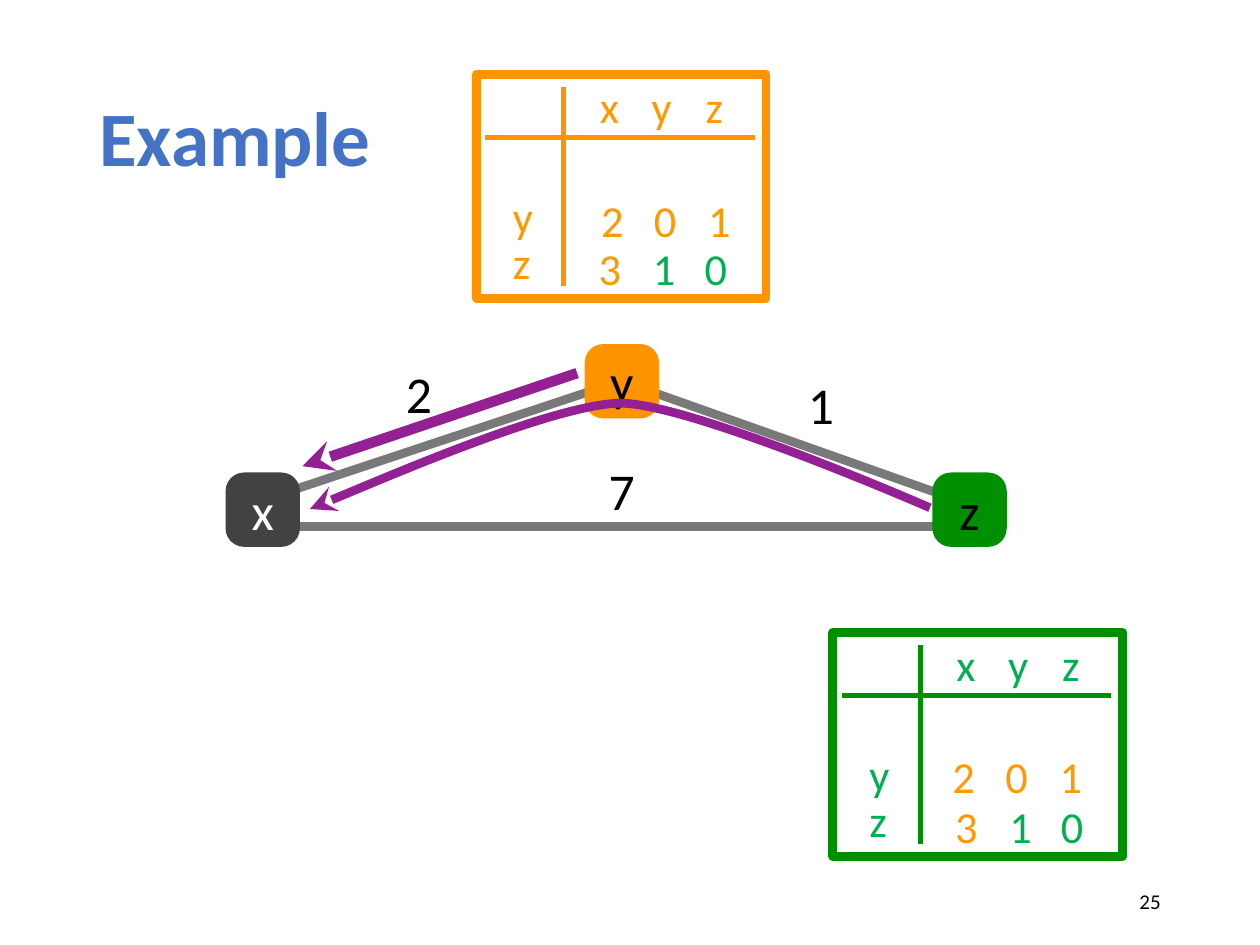
import pptx
import pptx.util
import pptx.dml.color
import pptx.enum.shapes
import pptx.enum.text
import pptx.oxml
import pptx.oxml.ns

Pt = pptx.util.Pt
RGB = pptx.dml.color.RGBColor
SHAPE = pptx.enum.shapes.MSO_SHAPE
ALIGN = pptx.enum.text.PP_ALIGN
qn = pptx.oxml.ns.qn

FONT = "Calibri"
BLACK = RGB(0x00, 0x00, 0x00)
WHITE = RGB(0xFF, 0xFF, 0xFF)
DARK = RGB(0x42, 0x42, 0x42)
GREY = RGB(0x79, 0x79, 0x79)
BLUE = RGB(0x44, 0x72, 0xC4)
PURPLE = RGB(0x94, 0x21, 0x93)
ORANGE = RGB(0xFF, 0x93, 0x00)
AMBER = RGB(0xFF, 0x99, 0x00)
GREEN = RGB(0x00, 0x8F, 0x00)
LEAF = RGB(0x00, 0xB0, 0x50)

PAD = 2.9
NODE = 42.5


def write(shape, text, size, color, align=ALIGN.LEFT, bold=False, pad=None):
    frame = shape.text_frame
    frame.word_wrap = True
    frame.vertical_anchor = pptx.enum.text.MSO_ANCHOR.MIDDLE
    if pad is not None:
        frame.margin_left = frame.margin_right = Pt(pad)
        frame.margin_top = frame.margin_bottom = Pt(pad)
    para = frame.paragraphs[0]
    para.alignment = align
    run = para.add_run()
    run.text = text
    font = run.font
    font.name, font.size, font.bold = FONT, Pt(size), bold
    font.color.rgb = color
    return para


def label(shapes, x, y, w, h, text, size, color, **style):
    box = shapes.add_textbox(Pt(x), Pt(y), Pt(w), Pt(h))
    return write(box, text, size, color, **style)


def stroke(shape, color, width, end=None):
    """Style a line; end is headEnd or tailEnd for an arrowhead."""
    shape.line.color.rgb = color
    shape.line.width = Pt(width)
    if end:
        tip = pptx.oxml.parse_xml(
            f'<a:{end} {pptx.oxml.ns.nsdecls("a")} type="stealth"/>')
        shape.line._get_or_add_ln().append(tip)


def link(shapes, x, y, start, stop, color, width, end=None):
    """Draw a straight line between two offsets from x, y."""
    line = shapes.add_connector(
        pptx.enum.shapes.MSO_CONNECTOR.STRAIGHT,
        Pt(x + start[0]), Pt(y + start[1]), Pt(x + stop[0]), Pt(y + stop[1]))
    stroke(line, color, width, end)
    line._element.spPr.append(pptx.oxml.parse_xml(
        f'<a:effectLst {pptx.oxml.ns.nsdecls("a")}/>'))


def curve(shapes, x, y, points, color, width):
    """Draw cubic curves through points, three points to a curve."""
    spots = [(Pt(x + dx), Pt(y + dy)) for dx, dy in points]
    maker = shapes.build_freeform(*spots[0], scale=1.0)
    maker.add_line_segments(spots[1:], close=False)
    shape = maker.convert_to_shape()
    shape.shadow.inherit = False
    shape.fill.background()
    stroke(shape, color, width, "tailEnd")
    legs = list(shape._element.iter(qn("a:lnTo")))
    for i in range(0, len(legs), 3):
        first, *rest = legs[i:i + 3]
        first.tag = qn("a:cubicBezTo")
        for leg in rest:
            first.append(leg[0])
            leg.getparent().remove(leg)


def network(shapes, x, y):
    edges = [((213.8, 25.2), (31.7, 85.7)),
             ((36.7, 104.4), (420.5, 104.4)),
             ((237.6, 25.2), (420.5, 90))]
    for start, stop in edges:
        link(shapes, x, y, start, stop, GREY, 5)

    nodes = [("x", 0, 73.4, DARK, WHITE),
             ("z", 403.9, 73.4, GREEN, BLACK),
             ("y", 205.2, 0, ORANGE, BLACK)]
    for name, dx, dy, fill, ink in nodes:
        node = shapes.add_shape(SHAPE.ROUNDED_RECTANGLE, Pt(x + dx),
                                Pt(y + dy), Pt(NODE), Pt(NODE))
        node.adjustments[0] = 0.25
        node.shadow.inherit = False
        node.fill.solid()
        node.fill.fore_color.rgb = fill
        node.line.fill.background()
        write(node, name, 29.5, ink, align=ALIGN.CENTER, pad=0)

    for cost, dx, dy in [("7", 216, 62.6), ("2", 100.1, 7.2), ("1", 329.8, 13)]:
        label(shapes, x + dx, y + dy, 20.9, 41.8, cost, 29.5, BLACK, pad=PAD)

    link(shapes, x, y, (43.9, 69.8), (200.9, 16.6), PURPLE, 6, "headEnd")
    curve(shapes, x, y,
          [(402.5, 93.6), (402.5, 93.6), (265.7, 33.8), (225.4, 33.8),
           (187.9, 34.6), (48.2, 94.3), (48.2, 94.3)], PURPLE, 5)


def costs(slide, x, y, edge, ink, fill=None, shift=(0, 0)):
    """Draw a distance table; shift moves the digits of row y."""
    shapes = slide.shapes.add_group_shape().shapes
    frame = shapes.add_shape(SHAPE.RECTANGLE, Pt(x), Pt(y), Pt(165.6), Pt(128))
    frame.shadow.inherit = False
    if fill is None:
        frame.fill.background()
    else:
        frame.fill.solid()
        frame.fill.fore_color.rgb = fill
    stroke(frame, edge, 5)
    link(shapes, x, y, (5, 36), (159, 36), edge, 3)
    link(shapes, x, y, (50, 121), (50, 7.2), edge, 3)

    def cell(dx, dy, w, h, text, color):
        label(shapes, x + dx, y + dy, w, h, text, 25.3, color, pad=PAD)

    for name, dx in zip("xyz", (67.7, 97.2, 128.2)):
        cell(dx, 1.5, 21, 33, name, ink)
    for name, dy in (("y", 62.5), ("z", 88.6)):
        cell(18, dy, 18.7, 36.7, name, ink)
    for digit, dx in zip("201", (68.4, 98.6, 129.6)):
        cell(dx + shift[0], 64.8 + shift[1], 13.7, 36.7, digit, AMBER)
    for digit, dx, color in zip("310", (67, 98, 127.5), (AMBER, LEAF, LEAF)):
        cell(dx, 92, 14, 36.7, digit, color)


def main():
    deck = pptx.Presentation()
    deck.slide_width, deck.slide_height = Pt(720), Pt(540)
    slide = deck.slides.add_slide(deck.slide_layouts[6])
    shapes = slide.shapes
    title = label(shapes, 49.7, 28.8, 620.6, 104.4, "Example", 44, BLUE,
                  bold=True)
    title.line_spacing = 0.9
    costs(slide, 272.2, 42.5, ORANGE, AMBER, fill=WHITE)
    costs(slide, 475.9, 361.4, GREEN, LEAF, shift=(-2.9, -1))
    network(shapes, 128.9, 196.6)
    label(shapes, 508.3, 500.4, 162, 28.8, "25", 12, BLACK, align=ALIGN.RIGHT)
    deck.save("out.pptx")


if __name__ == "__main__":
    main()
